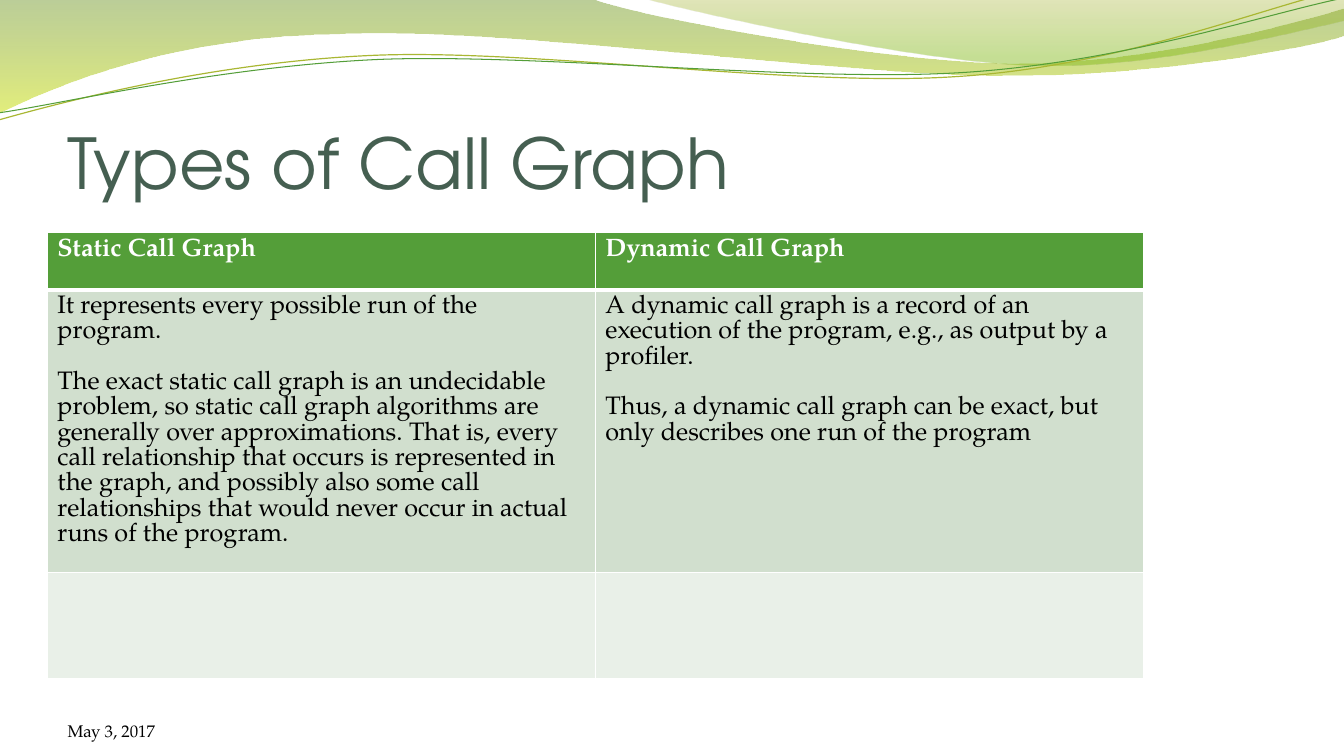
from math import cos, radians, sin

from pptx import Presentation
from pptx.dml.color import RGBColor
from pptx.enum.text import MSO_ANCHOR
from pptx.oxml import parse_xml
from pptx.oxml.ns import nsdecls, qn
from pptx.util import Inches, Pt
from lxml.etree import SubElement

COLORS = {"green": "549E39", "olive": "A9B733", "title": "455F51",
          "white": "FFFFFF", "black": "000000",
          "band_dark": "D1DFCE", "band_light": "E9F0E8",
          "moss": "69921C", "lime": "CCE10F", "khaki": "9BAA1A", "leaf": "81BA16"}
HEADING, BODY = "TeX Gyre Adventor", "TeX Gyre Pagella"
TILT = 2.7


def rgb(name):
    return RGBColor.from_string(COLORS[name])


def write(p, text, font=BODY, size=18, color="black", bold=False, before=0, pitch=None):
    p.space_before = Pt(before)
    if pitch:
        p.line_spacing = Pt(pitch)
    r = p.add_run()
    r.text = text
    r.font.name, r.font.size, r.font.bold = font, Pt(size), bold
    r.font.color.rgb = rgb(color)


def turn(point, center, degrees):
    a = radians(degrees)
    dx, dy = point[0] - center[0], point[1] - center[1]
    return (center[0] + dx * cos(a) - dy * sin(a),
            center[1] + dx * sin(a) + dy * cos(a))


class Deck:
    def __init__(self, prs):
        self.s = prs.slides.add_slide(prs.slide_layouts[6])

    def outline(self, steps, close, center=(0, 0), tilt=0):
        """A step of two numbers is a corner, one of six a cubic curve."""
        points = [turn(step[i:i + 2], center, tilt)
                  for step in steps for i in range(0, len(step), 2)]
        start, *rest = [(Inches(x), Inches(y)) for x, y in points]
        builder = self.s.shapes.build_freeform(*start)
        builder.add_line_segments(rest, close=close)
        sp = builder.convert_to_shape()
        sp.shadow.inherit = False
        sp.rotation = -tilt % 360
        # Join each three control points into one curve
        lines = iter(list(sp._element.spPr.iter(qn("a:lnTo"))))
        for step in steps[1:]:
            first = next(lines)
            if len(step) == 6:
                curve = parse_xml(f'<a:cubicBezTo {nsdecls("a")}/>')
                first.addprevious(curve)
                for line in (first, next(lines), next(lines)):
                    curve.append(line[0])
                    line.getparent().remove(line)
        return sp

    def wave(self, steps, stops):
        sp = self.outline(steps, True)
        sp.line.fill.background()
        sp.fill.gradient()
        sp.fill.gradient_angle = 270
        for stop, (position, color, _) in zip(sp.fill.gradient_stops, stops):
            stop.position = position
            stop.color.rgb = rgb(color)
        tags = sp._element.spPr.iter(qn("a:srgbClr"))
        for tag, (_, _, opacity) in zip(list(tags), stops):
            SubElement(tag, qn("a:alpha")).set("val", str(opacity * 1000))

    def curve(self, steps, center, color, width):
        sp = self.outline(steps, False, center, TILT)
        sp.fill.background()
        sp.line.color.rgb = rgb(color)
        sp.line.width = Pt(width)

    def text(self, box, text, **style):
        tf = self.s.shapes.add_textbox(*map(Inches, box)).text_frame
        tf.word_wrap = True
        tf.vertical_anchor = MSO_ANCHOR.BOTTOM
        tf.margin_left = tf.margin_right = tf.margin_top = tf.margin_bottom = 0
        write(tf.paragraphs[0], text, **style)

    def borders(self, cell, bottom):
        tcPr = cell._tc.get_or_add_tcPr()
        for i, (side, width) in enumerate(zip("LRTB", (1, 1, 1, bottom))):
            tcPr.insert(i, parse_xml(
                f'<a:ln{side} {nsdecls("a")} w="{Pt(width)}"><a:solidFill>'
                f'<a:srgbClr val="{COLORS["white"]}"/></a:solidFill></a:ln{side}>'))

    def table(self, left, top, width, heights, rows, fills):
        cols = len(rows[0])
        table = self.s.shapes.add_table(
            len(rows), cols, Inches(left), Inches(top),
            Inches(width), Inches(sum(heights))).table
        for col in table.columns:
            col.width = Inches(width / cols)
        for i, (height, row, fill) in enumerate(zip(heights, rows, fills)):
            table.rows[i].height = Inches(height)
            for j, paragraphs in enumerate(row):
                cell = table.cell(i, j)
                cell.fill.solid()
                cell.fill.fore_color.rgb = rgb(fill)
                self.borders(cell, 1 if i else 3)
                tf = cell.text_frame
                for k, text in enumerate(paragraphs):
                    p = tf.add_paragraph() if k else tf.paragraphs[0]
                    write(p, text, color="black" if i else "white", bold=i == 0,
                          before=18 if k else 0, pitch=18.1 if i else None)


prs = Presentation()
prs.slide_width, prs.slide_height = Inches(13.33), Inches(7.5)
deck = Deck(prs)

# Waves across the top
deck.wave([(0, 0), (5.87, -0.01), (6.34, 0.17, 8.84, 0.63, 10.11, 0.63),
           (11.37, 0.63, 12.77, 0.26, 13.33, 0.09), (13.34, 0.36),
           (13.11, 0.44, 11.59, 0.76, 9.94, 0.75),
           (8.29, 0.75, 5.09, 0.28, 3.43, 0.34),
           (1.72, 0.36, 0.61, 0.83, -0.02, 1.13), (0, 0)],
          [(0, "moss", 45), (1, "lime", 55)])
deck.wave([(6.38, -0.01), (6.79, 0.11, 9.09, 0.62, 10.25, 0.65),
           (11.4, 0.69, 12.82, 0.32, 13.33, 0.21), (13.33, 0), (6.38, -0.01)],
          [(0, "khaki", 30), (0.8, "leaf", 45)])
deck.curve([(-0.01, 1.19), (0.63, 1.01, 2.1, 0.62, 3.69, 0.55),
            (5.27, 0.48, 7.89, 0.87, 9.49, 0.76),
            (11.1, 0.66, 12.51, 0.08, 13.3, -0.1)], (6.65, 0.57), "olive", 0.85)
deck.curve([(-0.01, 1.12), (0.62, 1.03, 2.18, 0.66, 3.77, 0.59),
            (5.37, 0.53, 7.96, 0.82, 9.55, 0.72),
            (11.14, 0.62, 12.55, 0.14, 13.33, -0.02)], (6.67, 0.59), "green", 0.75)

# Date, comparison table and title
deck.text((0.67, 6.95, 3.11, 0.4), "May 3, 2017", size=12)
deck.table(0.47, 2.31, 10.87, (0.57, 2.8, 1.05), [
    [["Static Call Graph"], ["Dynamic Call Graph"]],
    [["It represents every possible run of the program.",
      "The exact static call graph is an undecidable problem, so static call graph "
      "algorithms are generally over approximations. That is, every call relationship "
      "that occurs is represented in the graph, and possibly also some call "
      "relationships that would never occur in actual runs of the program."],
     ["A dynamic call graph is a record of an execution of the program, e.g., as "
      "output by a profiler.",
      "Thus, a dynamic call graph can be exact, but only describes one run of the "
      "program"]],
    [[], []]], ("green", "band_dark", "band_light"))
deck.text((0.67, 0.77, 12, 1.25), "Types of Call Graph",
          font=HEADING, size=50, color="title")

prs.save("out.pptx")
